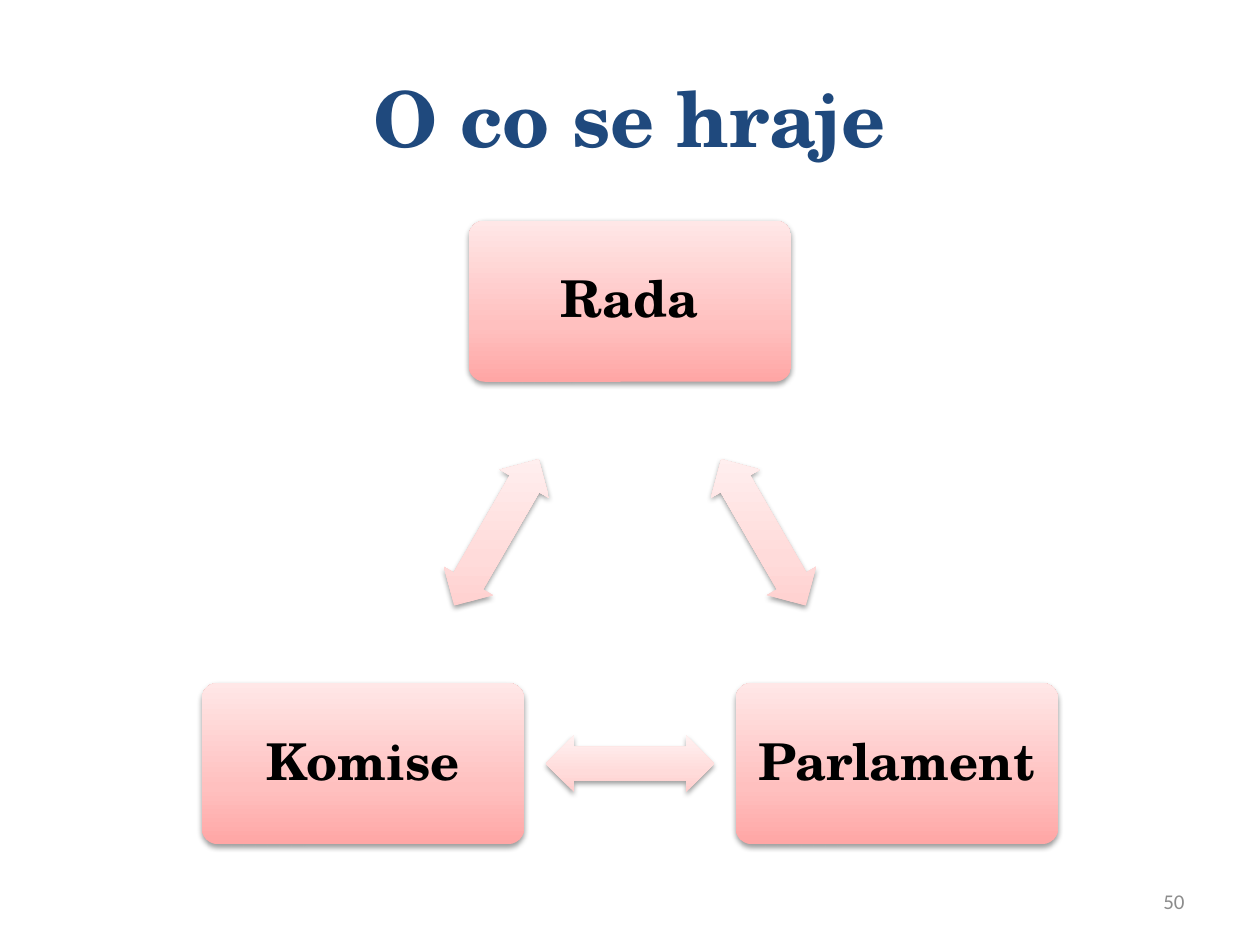
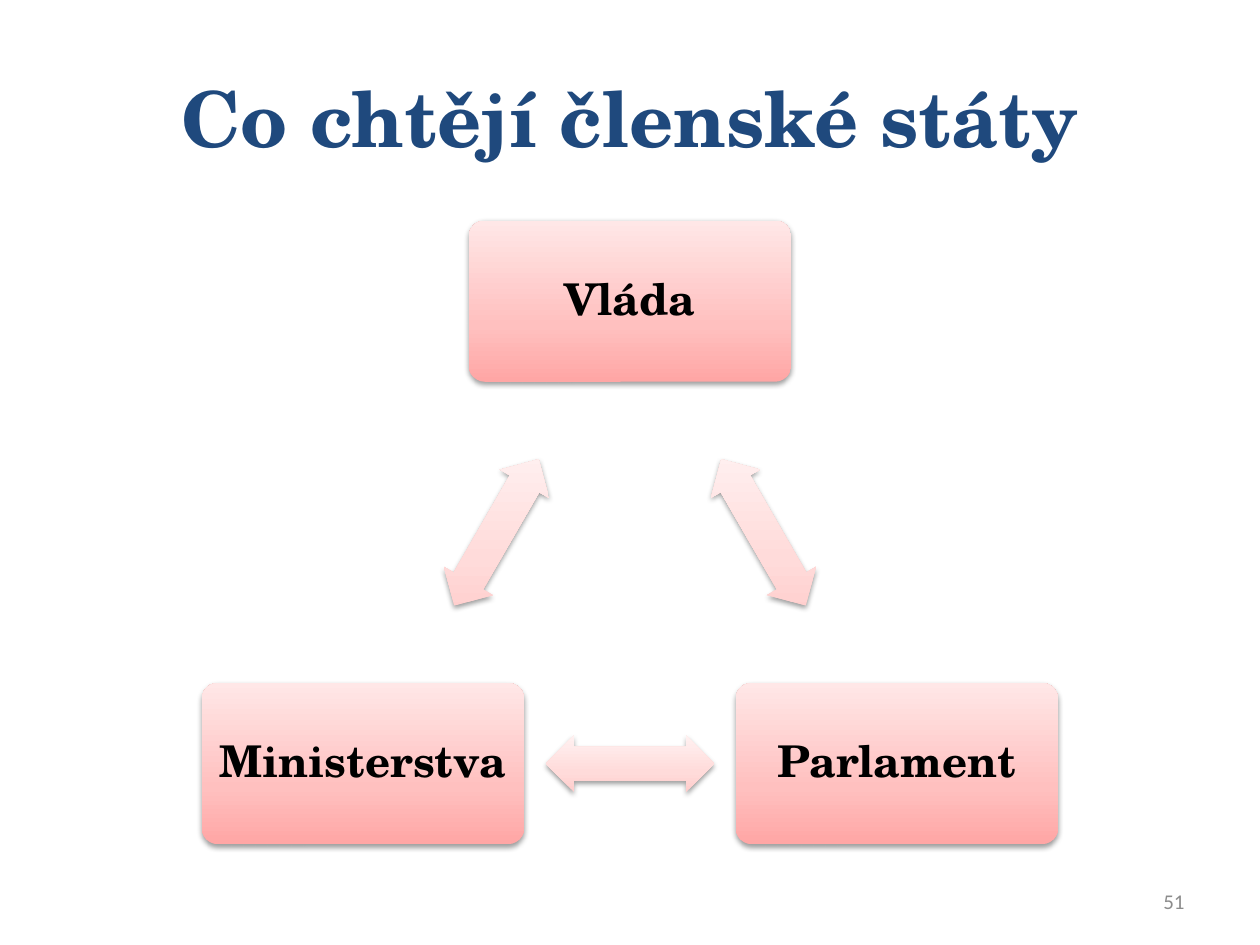
import math

import lxml.etree
import pptx
import pptx.dml.color
import pptx.enum.shapes
import pptx.enum.text
import pptx.oxml.ns
import pptx.util

Inches = pptx.util.Inches
Pt = pptx.util.Pt
qn = pptx.oxml.ns.qn
Shape = pptx.enum.shapes.MSO_SHAPE
Align = pptx.enum.text.PP_ALIGN

COLOURS = {"title": "1F497D", "label": "000000", "number": "8C8C8C", "shadow": "000000"}
NODE_GRADIENT = {0: "FFA6A5", 35: "FFC0BF", 100: "FFE7E7"}
ARROW_GRADIENT = {0: "FFCDCC", 35: "FFDBDA", 100: "FFF1F1"}
SERIF, SANS = "TeX Gyre Schola", "Calibri"

TITLE_BOX = (0.5, 0.3, 9, 1.25)
TRIANGLE_BOX = (0.5, 1.75, 9, 4.95)
NUMBER_BOX = (7.17, 6.95, 2.33, 0.4)
NODE_SIZE = (2.56, 1.28)
ARROW_SIZE = (1.34, 0.45)

# title, labels clockwise from the top, label size, label inset, page number
PAGES = [
    ("O co se hraje", ["Rada", "Parlament", "Komise"], 29, 0.12, 50),
    ("Co chtějí členské státy", ["Vláda", "Parlament", "Ministerstva"], 25, 0.1, 51),
]


def write_text(frame, text, size, colour, font=SERIF, bold=True,
               align=Align.CENTER, spacing=None):
    frame.vertical_anchor = pptx.enum.text.MSO_ANCHOR.MIDDLE
    para = frame.paragraphs[0]
    para.alignment = align
    para.line_spacing = spacing
    span = para.add_run()
    span.text = text
    span.font.name = font
    span.font.size = Pt(size)
    span.font.bold = bold
    span.font.color.rgb = pptx.dml.color.RGBColor.from_string(COLOURS[colour])


def add_colour(parent, colour):
    return lxml.etree.SubElement(parent, qn("a:srgbClr"), val=colour)


def fill_gradient(shape, gradient):
    """Fill bottom to top, upright on the page even when the shape is turned."""
    shape.fill.gradient()
    shape.fill.gradient_angle = 90
    properties = shape.element.spPr.find(qn("a:gradFill"))
    properties.set("rotWithShape", "0")
    stops = properties.find(qn("a:gsLst"))
    for stop in list(stops):
        stops.remove(stop)
    for percent, colour in gradient.items():
        stop = lxml.etree.SubElement(stops, qn("a:gs"), pos=str(percent * 1000))
        add_colour(stop, colour)


def cast_shadow(shape):
    shape.shadow.inherit = False
    effects = shape.element.spPr.find(qn("a:effectLst"))
    shadow = lxml.etree.SubElement(
        effects, qn("a:outerShdw"), blurRad=str(Pt(3.1)), dist=str(Pt(1.6)),
        dir="5400000", rotWithShape="0")
    colour = add_colour(shadow, COLOURS["shadow"])
    lxml.etree.SubElement(colour, qn("a:alpha"), val="38000")


def add_centred(group, kind, centre, size, gradient, adjustments):
    left, top = (middle - length / 2 for middle, length in zip(centre, size))
    shape = group.shapes.add_shape(kind, *map(Inches, (left, top, *size)))
    for index, value in enumerate(adjustments):
        shape.adjustments[index] = value
    fill_gradient(shape, gradient)
    shape.line.fill.background()
    cast_shadow(shape)
    return shape


def add_node(group, centre, label, size, inset):
    node = add_centred(group, Shape.ROUNDED_RECTANGLE, centre, NODE_SIZE,
                       NODE_GRADIENT, [0.1])
    frame = node.text_frame
    frame.word_wrap = False
    frame.margin_left = frame.margin_right = Inches(inset)
    frame.margin_top = frame.margin_bottom = Inches(inset)
    write_text(frame, label, size, "label", spacing=0.9)


def add_triangle(page, box, labels, size, inset):
    """Set nodes on the corners of an equilateral triangle, arrows on its sides."""
    left, top, width, height = box
    radius = (height - NODE_SIZE[1]) / 1.5
    middle_x, middle_y = left + width / 2, top + NODE_SIZE[1] / 2 + radius
    step = 360 / len(labels)
    corners = []
    for index in range(len(labels)):
        angle = math.radians(index * step)
        corners.append((middle_x + radius * math.sin(angle),
                        middle_y - radius * math.cos(angle)))
    group = page.shapes.add_group_shape()
    for index, (corner, label) in enumerate(zip(corners, labels)):
        add_node(group, corner, label, size, inset)
        following = corners[(index + 1) % len(corners)]
        halfway = [(start + end) / 2 for start, end in zip(corner, following)]
        arrow = add_centred(group, Shape.LEFT_RIGHT_ARROW, halfway, ARROW_SIZE,
                            ARROW_GRADIENT, [0.6, 0.5])
        arrow.rotation = (index + 0.5) * step


def add_title(page, box, text):
    title = page.shapes.title
    title.left, title.top, title.width, title.height = map(Inches, box)
    write_text(title.text_frame, text, 44, "title")


def add_page_number(page, box, number):
    frame = page.shapes.add_textbox(*map(Inches, box)).text_frame
    frame.word_wrap = True
    write_text(frame, str(number), 12, "number", font=SANS, bold=False,
               align=Align.RIGHT)


def main():
    deck = pptx.Presentation()
    deck.slide_width, deck.slide_height = Inches(10), Inches(7.5)
    title_only = deck.slide_layouts.get_by_name("Title Only")
    for title, labels, size, inset, number in PAGES:
        page = deck.slides.add_slide(title_only)
        add_title(page, TITLE_BOX, title)
        add_triangle(page, TRIANGLE_BOX, labels, size, inset)
        add_page_number(page, NUMBER_BOX, number)
    deck.save("out.pptx")


if __name__ == "__main__":
    main()
